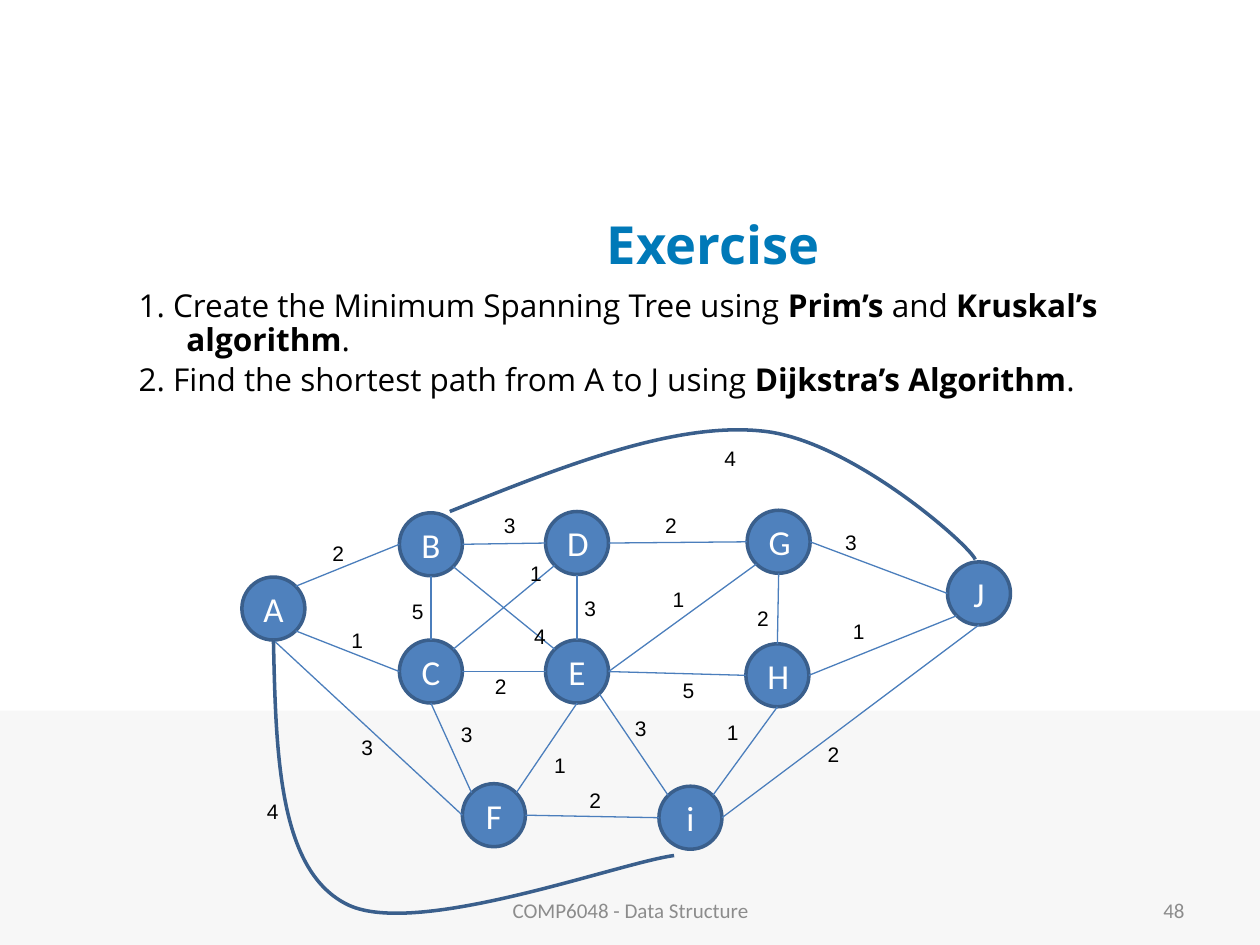
from dataclasses import dataclass
from math import cos, radians, sin

from lxml.etree import SubElement
from pptx import Presentation
from pptx.dml.color import RGBColor
from pptx.enum.shapes import MSO_CONNECTOR as Connector, MSO_SHAPE as Shape
from pptx.enum.text import MSO_ANCHOR as Anchor, MSO_AUTO_SIZE as AutoSize, PP_ALIGN as Align
from pptx.oxml.ns import qn
from pptx.util import Inches, Pt


@dataclass(frozen=True)
class Theme:
    band: str = "F7F7F7"
    title: str = "0079B8"
    text: str = "000000"
    muted: str = "8C8C8C"
    node: str = "4F81BD"
    outline: str = "3A5F8C"
    edge: str = "4B7EBC"
    node_text: str = "FFFFFF"
    heading_font: str = "Open Sans"
    node_font: str = "Calibri"
    weight_font: str = "Arial"
    title_size: int = 30
    body_size: int = 18
    node_size: int = 20
    small_size: int = 12


THEME = Theme()
DIAMETER = 0.5

# Top left corner of each graph node
NODES = {
    "A": (1.92, 4.58), "B": (3.17, 4.07), "C": (3.17, 5.08), "D": (4.33, 4.06),
    "E": (4.33, 5.08), "F": (3.67, 6.22), "i": (5.23, 6.24), "G": (5.93, 4.05),
    "H": (5.92, 5.11), "J": (7.52, 4.46),
}

# Start node and side, end node and side, weight, top left corner of the weight
EDGES = [
    ("A", "NE", "B", "W", 2, (2.54, 4.24)),
    ("A", "SE", "C", "W", 1, (2.69, 4.93)),
    ("B", "E", "D", "W", 3, (3.9, 4.02)),
    ("D", "S", "E", "N", 3, (4.54, 4.68)),
    ("C", "E", "E", "W", 2, (3.83, 5.3)),
    ("B", "S", "C", "N", 5, (3.17, 4.7)),
    ("D", "SW", "C", "NE", 1, (4.11, 4.4)),
    ("B", "SE", "E", "NW", 4, (4.14, 4.9)),
    ("A", "S", "F", "W", 3, (2.77, 5.78)),
    ("F", "NE", "E", "S", 1, (4.3, 5.92)),
    ("C", "S", "F", "NW", 3, (3.56, 5.68)),
    ("D", "E", "G", "W", 2, (5.18, 4.02)),
    ("E", "E", "G", "SW", 1, (5.24, 4.61)),
    ("H", "N", "G", "S", 2, (5.91, 4.76)),
    ("E", "E", "H", "W", 5, (5.32, 5.33)),
    ("E", "SE", "i", "NW", 3, (4.94, 5.63)),
    ("F", "E", "i", "W", 2, (4.58, 6.2)),
    ("H", "S", "i", "NE", 1, (5.67, 5.66)),
    ("i", "E", "J", "S", 2, (6.47, 5.84)),
    ("H", "E", "J", "SW", 1, (6.67, 4.86)),
    ("G", "E", "J", "W", 3, (6.61, 4.15)),
]

# Start point, Bezier segments (two control points and an end), weight, its corner
CURVES = [
    ((2.17, 5.08),
     [((2.19, 5.98), (2.21, 6.89), (2.74, 7.17)),
      ((3.27, 7.46), (4.9, 6.85), (5.35, 6.79))], 4, (2.02, 6.29)),
    ((3.57, 4.06),
     [((4.46, 3.7), (5.35, 3.35), (6.04, 3.42)),
      ((6.74, 3.48), (7.7, 4.33), (7.74, 4.44))], 4, (5.65, 3.49)),
]

# Exercise text as (wording, bold) runs
TASKS = [
    [("1. Create the Minimum Spanning Tree using ", False), ("Prim’s", True),
     (" and ", False), ("Kruskal’s algorithm", True), (".", False)],
    [("2. Find the shortest path from A to J using ", False),
     ("Dijkstra’s Algorithm", True), (".", False)],
]


def place(item, left, top, width, height):
    item.left, item.top = Inches(left), Inches(top)
    item.width, item.height = Inches(width), Inches(height)


def add_span(para, wording, font, size, color, bold=False):
    span = para.add_run()
    span.text = wording
    span.font.name = font
    span.font.size = Pt(size)
    span.font.bold = bold
    span.font.color.rgb = RGBColor.from_string(color)


def style_line(line, color, width):
    line.color.rgb = RGBColor.from_string(color)
    line.width = Pt(width)


def add_band(page):
    band = page.shapes.add_shape(
        Shape.RECTANGLE, 0, Inches(5.64), Inches(10), Inches(1.86))
    band.shadow.inherit = False
    band.fill.solid()
    band.fill.fore_color.rgb = RGBColor.from_string(THEME.band)
    band.line.fill.background()
    # Send behind the placeholders
    page.shapes._spTree.insert(2, band._element)


def fill_title(page):
    title = page.shapes.title
    place(title, 1.92, 1.5, 7.48, 0.87)
    title.text_frame.auto_size = AutoSize.NONE
    title.text_frame.vertical_anchor = Anchor.MIDDLE
    para = title.text_frame.paragraphs[0]
    para.alignment = Align.CENTER
    add_span(para, "Exercise", THEME.heading_font, THEME.title_size, THEME.title, True)


def fill_tasks(page):
    body = page.placeholders[1]
    place(body, 1, 2.25, 8.58, 4.69)
    frame = body.text_frame
    frame.auto_size = AutoSize.NONE
    for index, task in enumerate(TASKS):
        para = frame.add_paragraph() if index else frame.paragraphs[0]
        props = para._p.get_or_add_pPr()
        props.set("marL", str(Inches(0.38)))
        props.set("indent", str(-Inches(0.38)))
        SubElement(props, qn("a:buNone"))
        para.line_spacing = 0.9
        para.space_before = Pt(3.6 if index else 0)
        for wording, bold in task:
            add_span(para, wording, THEME.heading_font, THEME.body_size, THEME.text, bold)


def add_footer(page, wording, left, width, align):
    box = page.shapes.add_textbox(Inches(left), Inches(7.02), Inches(width), Inches(0.4))
    box.text_frame.word_wrap = True
    box.text_frame.vertical_anchor = Anchor.MIDDLE
    para = box.text_frame.paragraphs[0]
    para.alignment = align
    add_span(para, wording, THEME.node_font, THEME.small_size, THEME.muted)


def add_node(page, name):
    left, top = NODES[name]
    node = page.shapes.add_shape(
        Shape.OVAL, Inches(left), Inches(top), Inches(DIAMETER), Inches(DIAMETER))
    node.shadow.inherit = False
    node.fill.solid()
    node.fill.fore_color.rgb = RGBColor.from_string(THEME.node)
    style_line(node.line, THEME.outline, 2)
    node.text_frame.vertical_anchor = Anchor.MIDDLE
    para = node.text_frame.paragraphs[0]
    para.alignment = Align.CENTER
    add_span(para, name, THEME.node_font, THEME.node_size, THEME.node_text)


def rim_point(name, side):
    """Point on a node's rim; sides run clockwise from east."""
    angle = radians(45 * ["E", "SE", "S", "SW", "W", "NW", "N", "NE"].index(side))
    left, top = NODES[name]
    radius = DIAMETER / 2
    return Inches(left + radius * (1 + cos(angle))), Inches(top + radius * (1 + sin(angle)))


def add_edge(page, start, start_side, end, end_side):
    edge = page.shapes.add_connector(
        Connector.STRAIGHT, *rim_point(start, start_side), *rim_point(end, end_side))
    style_line(edge.line, THEME.edge, 0.75)
    SubElement(edge._element.spPr, qn("a:effectLst"))


def add_curve(page, start, segments):
    builder = page.shapes.build_freeform(Inches(start[0]), Inches(start[1]))
    builder.add_line_segments(
        [(Inches(x), Inches(y)) for *_, (x, y) in segments], close=False)
    curve = builder.convert_to_shape()
    # Turn each straight segment into a cubic Bezier
    for step, points in zip(list(curve._element.iter(qn("a:lnTo"))), segments):
        bend = SubElement(step.getparent(), qn("a:cubicBezTo"))
        for x, y in points:
            SubElement(bend, qn("a:pt"), x=str(Inches(x) - curve.left),
                       y=str(Inches(y) - curve.top))
        step.getparent().replace(step, bend)
    curve.shadow.inherit = False
    curve.fill.background()
    style_line(curve.line, THEME.outline, 2)


def add_weight(page, weight, corner):
    left, top = corner
    box = page.shapes.add_textbox(Inches(left), Inches(top), Inches(0.29), Inches(0.3))
    box.text_frame.word_wrap = False
    box.text_frame.auto_size = AutoSize.SHAPE_TO_FIT_TEXT
    add_span(box.text_frame.paragraphs[0], str(weight),
             THEME.weight_font, THEME.small_size, THEME.text)


def main():
    deck = Presentation()
    deck.slide_width, deck.slide_height = Inches(10), Inches(7.5)
    page = deck.slides.add_slide(deck.slide_layouts[1])

    # Page frame and text
    add_band(page)
    fill_title(page)
    add_footer(page, "COMP6048 - Data Structure", 3.42, 3.17, Align.CENTER)
    add_footer(page, "48", 7.17, 2.33, Align.RIGHT)
    fill_tasks(page)

    # Weighted graph
    for name in NODES:
        add_node(page, name)
    for *ends, weight, corner in EDGES:
        add_edge(page, *ends)
        add_weight(page, weight, corner)
    for start, segments, weight, corner in CURVES:
        add_curve(page, start, segments)
        add_weight(page, weight, corner)

    deck.save("out.pptx")


if __name__ == "__main__":
    main()
